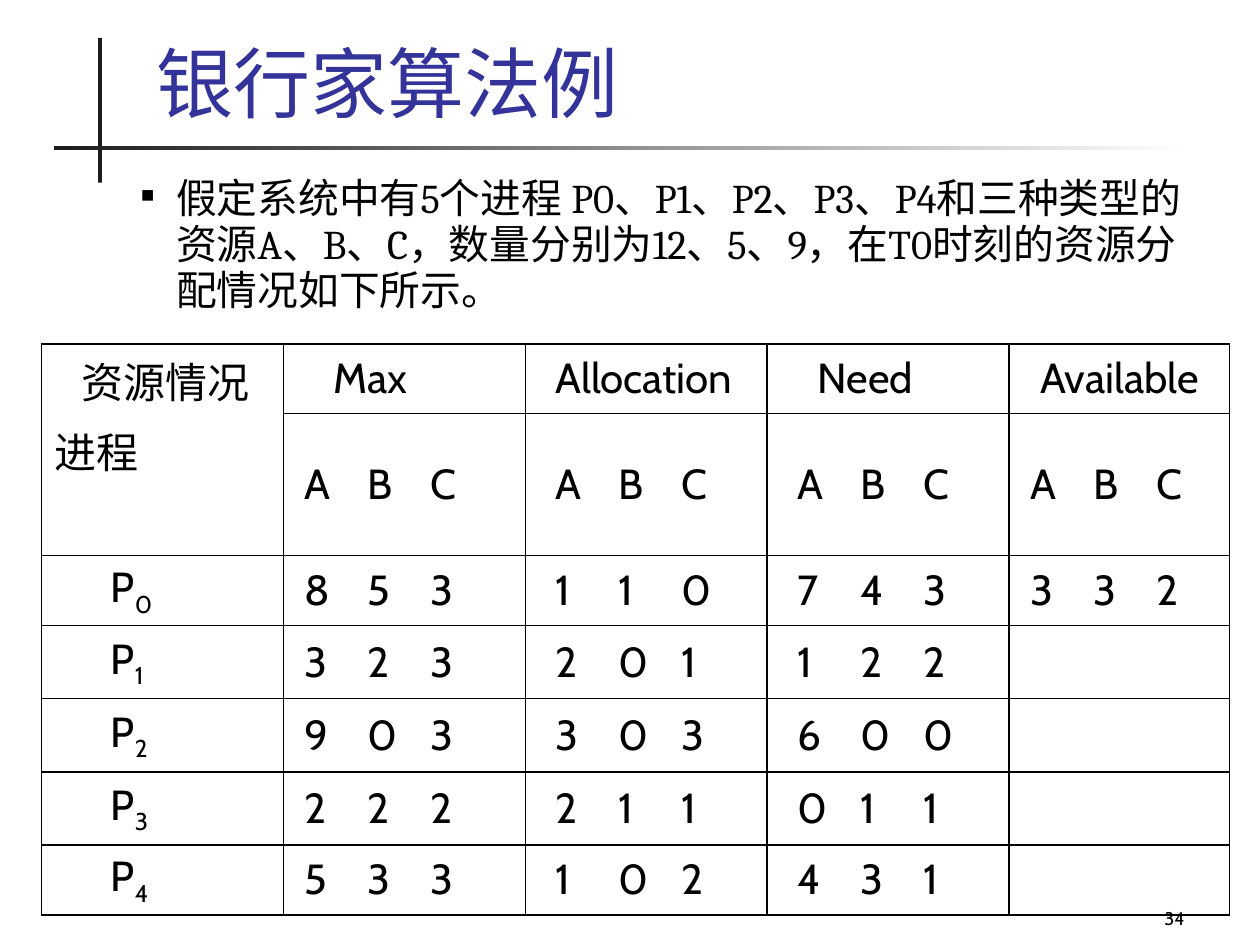
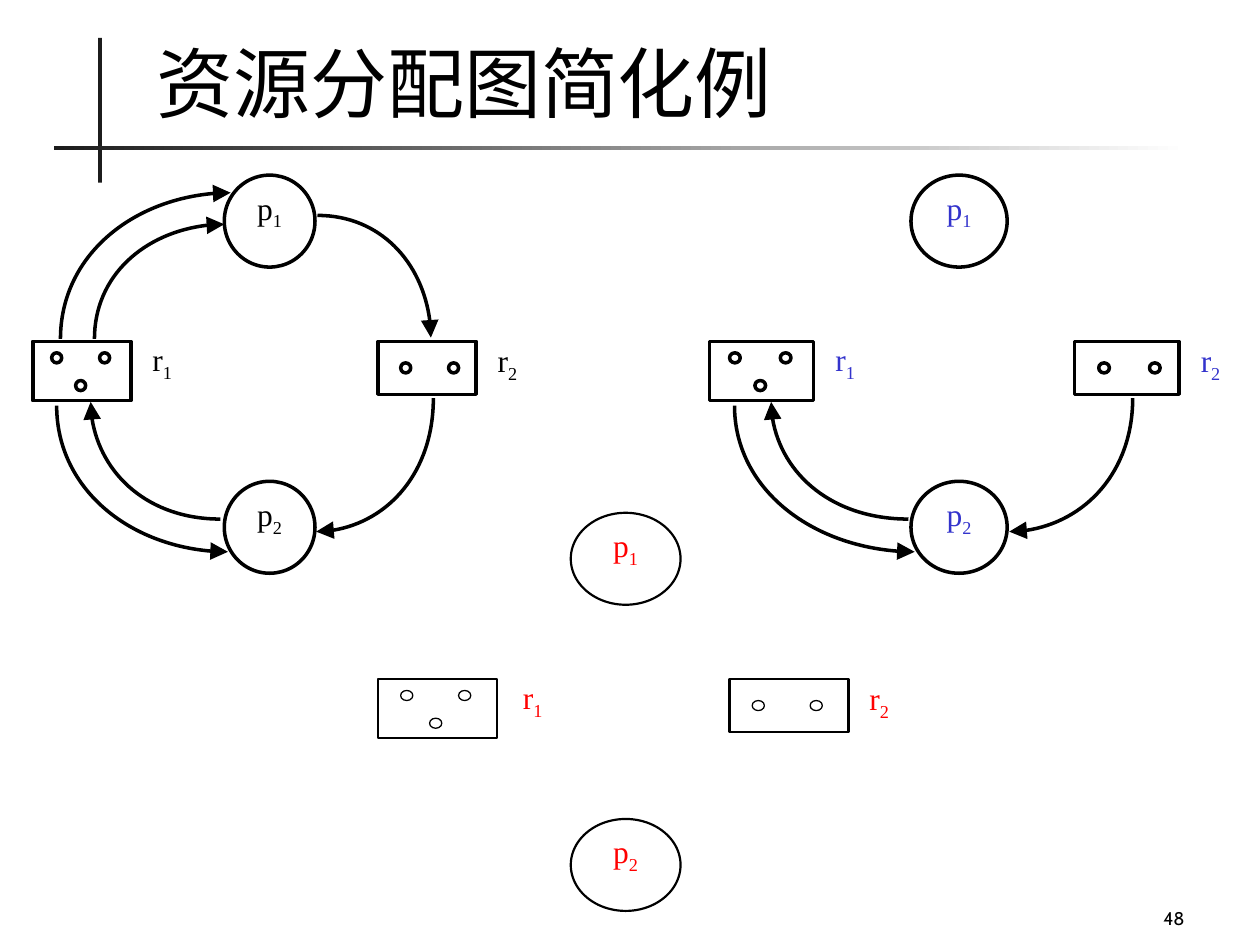
from lxml import etree
from pptx import Presentation
from pptx.dml.color import RGBColor
from pptx.enum.shapes import MSO_SHAPE
from pptx.enum.text import MSO_ANCHOR, PP_ALIGN
from pptx.oxml.ns import qn
from pptx.util import Inches, Pt

RECT, OVAL = MSO_SHAPE.RECTANGLE, MSO_SHAPE.OVAL
TOP, MIDDLE, BOTTOM = MSO_ANCHOR.TOP, MSO_ANCHOR.MIDDLE, MSO_ANCHOR.BOTTOM
CENTER, RIGHT, JUSTIFY = PP_ALIGN.CENTER, PP_ALIGN.RIGHT, PP_ALIGN.JUSTIFY

COLORS = {"ink": "000000", "paper": "FFFFFF", "band": "1C1C1C",
          "title": "333399", "blue": "3333CC", "red": "FF0000"}
FORMATS = {
    "title": {"size": Pt(44), "name": "Cambria"},
    "body": {"size": Pt(23.3), "name": "Cambria"},
    "table": {"size": Pt(24), "name": "Cabin"},
    "node": {"size": Pt(18), "name": "Times New Roman"},
    "number": {"size": Pt(10.5), "name": "Cabin"},
}

# Banker's algorithm slide
BANKER = {
    "title": "银行家算法例", "color": "title", "number": "34",
    "body": "假定系统中有5个进程 P0、P1、P2、P3、P4和三种类型的资源A、B、C，"
            "数量分别为12、5、9，在T0时刻的资源分配情况如下所示。",
}
CORNER = [("资源情况", 0.22), ("进程", 0)]
HEADINGS = [("Max", 0.3), ("Allocation", 0.14), ("Need", 0.3), ("Available", 0.15)]
TRIPLE_INDENTS = [0.07, 0.14, 0.14, 0.07]
TRIPLES = [
    ["ABC", "ABC", "ABC", "ABC"],
    ["853", "110", "743", "332"],
    ["323", "201", "122"],
    ["903", "303", "600"],
    ["222", "211", "011"],
    ["533", "102", "431"],
]
# Distance from one character of a triple to the next
ADVANCE = 0.48
ADVANCES = {"A": 0.51, "B": 0.5, "0": 0.53, "1": 0.42, "6": 0.5, "8": 0.5, "9": 0.5}
COL_WIDTHS = [1.92] * 4 + [1.75]
ROW_HEIGHTS = [0.55, 1.13, 0.55, 0.58, 0.58, 0.58, 0.55]

# Graph reduction slide: each resource is (box left, first dot left, label left),
# each arc is (end at process, end at resource, where the arrow points)
REDUCTION = {"title": "资源分配图简化例", "color": "ink", "number": "48"}
GRAPHS = [
    {"color": "ink", "scale": 1, "dy": 0, "line": 2, "dot_line": 2, "process": 1.78,
     "resources": [(0.26, 0.41, 1.21), (3, 3.18, 3.95)],
     "arcs": [((1.78, 1.78), (0.75, 2.69), "p"), ((1.83, 1.53), (0.48, 2.69), "p"),
              ((2.51, 4.22), (3.44, 3.16), "p"), ((2.52, 1.71), (3.42, 2.68), "r"),
              ((1.75, 4.12), (0.72, 3.19), "r"), ((1.81, 4.38), (0.45, 3.22), "p")]},
    {"color": "blue", "scale": 1.06, "dy": 0, "line": 2, "dot_line": 2, "process": 7.23,
     "resources": [(5.63, 5.79, 6.63), (8.53, 8.72, 9.53)],
     "arcs": [((8.01, 4.22), (8.99, 3.16), "p"), ((7.21, 4.12), (6.12, 3.19), "r"),
              ((7.26, 4.38), (5.83, 3.22), "p")]},
    {"color": "red", "scale": 1.21, "dy": 2.68, "line": 1.25, "dot_line": 0.75,
     "process": 4.53, "resources": [(3, 3.18, 4.15), (5.79, 5.97, 6.9)], "arcs": []},
]
PROCESS_TOPS = [1.39, 3.82]
BOX_TOP, LABEL_TOP = 2.71, 2.7
BOX_HEIGHTS = [0.47, 0.42]
DOT_PITCH = 0.38
DOTS = [[(0, 2.8), (1, 2.8), (0.5, 3.02)], [(0, 2.88), (1, 2.88)]]  # (pitches, top)
ARC_PULL = 0.55  # control point distance for a quarter ellipse


def rgb(color):
    return RGBColor.from_string(COLORS[color])


def add_run(p, text, fmt, color="ink", subscript=False):
    r = p.add_run()
    r.text = text
    for key, value in FORMATS[fmt].items():
        setattr(r.font, key, value)
    r.font.color.rgb = rgb(color)
    if subscript:
        r.font._element.set("baseline", "-25000")


def add_symbol(p, letter, index, fmt, color="ink"):
    add_run(p, letter, fmt, color)
    add_run(p, str(index), fmt, color, subscript=True)


def set_frame(tf, anchor=TOP, inset=None):
    tf.word_wrap = True
    tf.vertical_anchor = anchor
    if inset is not None:
        for side in ("left", "top", "right", "bottom"):
            setattr(tf, "margin_" + side, Inches(inset))
    return tf.paragraphs[0]


def add_text(s, box, anchor=TOP, inset=None):
    sp = s.shapes.add_textbox(*map(Inches, box))
    return set_frame(sp.text_frame, anchor, inset)


def add_figure(s, kind, box, line):
    sp = s.shapes.add_shape(kind, *map(Inches, box))
    sp.shadow.inherit = False
    sp.fill.solid()
    sp.fill.fore_color.rgb = rgb("paper")
    sp.line.color.rgb = rgb("ink")
    sp.line.width = Pt(line)
    return sp


def add_slide(prs, content):
    """Blank slide with the crossed bands and title."""
    s = prs.slides.add_slide(prs.slide_layouts[6])
    for box in [(0.78, 0.3, 0.03, 1.15), (0.43, 1.16, 9, 0.03)]:
        band = s.shapes.add_shape(RECT, *map(Inches, box))
        band.shadow.inherit = False
        band.line.fill.background()
        band.fill.solid()
        band.fill.fore_color.rgb = rgb("band")
    band.fill.gradient()
    band.fill.gradient_angle = 0
    for stop, color in zip(band.fill.gradient_stops, ("band", "paper")):
        stop.color.rgb = rgb(color)
    p = add_text(s, (1.14, 0.24, 8.59, 0.82), BOTTOM)
    add_run(p, content["title"], "title", content["color"])
    return s


def add_number(s, content):
    p = add_text(s, (7.42, 6.92, 2.08, 0.5), BOTTOM)
    p.alignment = RIGHT
    add_run(p, content["number"], "number")


def indent(p, left, first=0, tabs=()):
    pPr = p._p.get_or_add_pPr()
    pPr.set("marL", str(Inches(left)))
    pPr.set("indent", str(Inches(first)))
    if tabs:
        tab_list = etree.SubElement(pPr, qn("a:tabLst"))
        for pos in tabs:
            etree.SubElement(tab_list, qn("a:tab"), pos=str(Inches(pos)), algn="l")
    return pPr


def style_cell(cell):
    cell.fill.background()
    cell.vertical_anchor = MIDDLE
    tcPr = cell._tc.get_or_add_tcPr()
    for i, side in enumerate(("lnL", "lnR", "lnT", "lnB")):
        ln = etree.Element(qn("a:" + side), w=str(Pt(1)))
        fill = etree.SubElement(ln, qn("a:solidFill"))
        etree.SubElement(fill, qn("a:srgbClr"), val=COLORS["ink"])
        tcPr.insert(i, ln)


def add_allocation_table(s):
    table = s.shapes.add_table(
        len(ROW_HEIGHTS), len(COL_WIDTHS), Inches(0.33), Inches(2.73),
        Inches(sum(COL_WIDTHS)), Inches(sum(ROW_HEIGHTS))).table
    table.first_row = table.horz_banding = False
    for col, width in zip(table.columns, COL_WIDTHS):
        col.width = Inches(width)
    for row, height in zip(table.rows, ROW_HEIGHTS):
        row.height = Inches(height)
        for cell in row.cells:
            style_cell(cell)

    # Corner and headings
    corner = table.cell(0, 0)
    corner.merge(table.cell(1, 0))
    corner.vertical_anchor = TOP
    tf = corner.text_frame
    for i, (text, left) in enumerate(CORNER):
        p = tf.add_paragraph() if i else tf.paragraphs[0]
        if i:
            p.space_before = Pt(4.8)
        indent(p, left)
        add_run(p, text, "table")
    for c, (text, left) in enumerate(HEADINGS, 1):
        p = table.cell(0, c).text_frame.paragraphs[0]
        indent(p, left)
        add_run(p, text, "table")

    # Process names and their A, B, C values
    for r, triples in enumerate(TRIPLES, 1):
        if r > 1:
            p = table.cell(r, 0).text_frame.paragraphs[0]
            indent(p, 0.45)
            add_symbol(p, "P", r - 2, "table")
        for c, triple in enumerate(triples, 1):
            left = TRIPLE_INDENTS[c - 1]
            second = left + ADVANCES.get(triple[0], ADVANCE)
            third = second + ADVANCES.get(triple[1], ADVANCE)
            p = table.cell(r, c).text_frame.paragraphs[0]
            indent(p, left, tabs=(second, third))
            add_run(p, "\t".join(triple), "table")


def add_arc(s, p_end, r_end, target):
    """Quarter ellipse, level at the process and upright at the resource."""
    corner = (r_end[0], p_end[1])
    pulled = [tuple(e + ARC_PULL * (c - e) for e, c in zip(end, corner))
              for end in (p_end, r_end)]
    points = [tuple(map(Inches, pt)) for pt in (p_end, *pulled, r_end)]
    if target == "p":
        points.reverse()
    builder = s.shapes.build_freeform(*points[0])
    builder.add_line_segments(points[1:], close=False)
    sp = builder.convert_to_shape()

    # Join the three segments into one curve
    segments = list(sp._element.iter(qn("a:lnTo")))
    curve = etree.SubElement(segments[0].getparent(), qn("a:cubicBezTo"))
    for segment in segments:
        curve.append(segment[0])
        segment.getparent().remove(segment)

    sp.shadow.inherit = False
    sp.fill.background()
    sp.line.color.rgb = rgb("ink")
    sp.line.width = Pt(2)
    etree.SubElement(sp.line._get_or_add_ln(), qn("a:tailEnd"),
                     type="triangle", w="lg", len="lg")


def add_graph(s, graph):
    scale, dy, color = graph["scale"], graph["dy"], graph["color"]
    for i, top in enumerate(PROCESS_TOPS, 1):
        sp = add_figure(s, OVAL, (graph["process"], top + dy, 0.72 * scale, 0.73),
                        graph["line"])
        p = set_frame(sp.text_frame, inset=0)
        p.alignment = CENTER
        add_symbol(p, "p", i, "node", color)
    for i, (box_x, dot_x, label_x) in enumerate(graph["resources"]):
        add_figure(s, RECT, (box_x, BOX_TOP + dy, 0.78 * scale, BOX_HEIGHTS[i]),
                   graph["line"])
        for pitches, top in DOTS[i]:
            left = dot_x + pitches * DOT_PITCH * scale
            add_figure(s, OVAL, (left, top + dy, 0.08 * scale, 0.08), graph["dot_line"])
        p = add_text(s, (label_x, LABEL_TOP + i * 0.01 + dy, 0.27 * scale, 0.42), inset=0)
        p.alignment = JUSTIFY
        add_symbol(p, "r", i + 1, "node", color)
    for arc in graph["arcs"]:
        add_arc(s, *arc)


def add_banker_slide(prs):
    s = add_slide(prs, BANKER)
    p = add_text(s, (1.02, 1.35, 8.5, 1.25))
    p.line_spacing = 0.94
    pPr = indent(p, 0.28, -0.28)
    bullet_color = etree.SubElement(pPr, qn("a:buClr"))
    etree.SubElement(bullet_color, qn("a:srgbClr"), val=COLORS["ink"])
    etree.SubElement(pPr, qn("a:buSzPct"), val="45000")
    etree.SubElement(pPr, qn("a:buChar"), char="■")
    add_run(p, BANKER["body"], "body")
    add_number(s, BANKER)
    add_allocation_table(s)


def add_reduction_slide(prs):
    s = add_slide(prs, REDUCTION)
    for graph in GRAPHS:
        add_graph(s, graph)
    add_number(s, REDUCTION)


def main():
    prs = Presentation()
    prs.slide_width, prs.slide_height = Inches(10), Inches(7.5)
    add_banker_slide(prs)
    add_reduction_slide(prs)
    prs.save("out.pptx")


if __name__ == "__main__":
    main()
